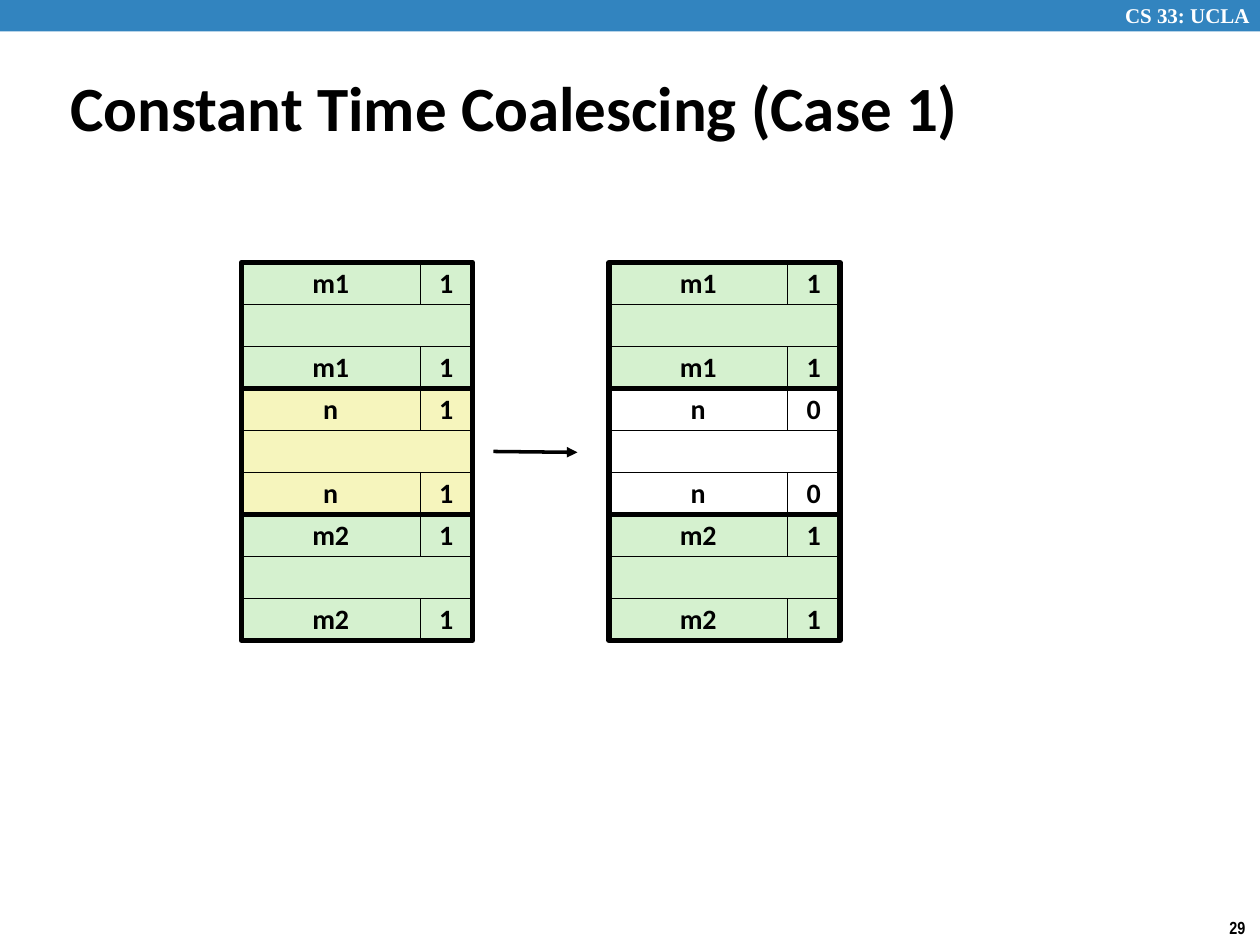
import dataclasses

import lxml.etree
import pptx
import pptx.dml.color
import pptx.enum.shapes
import pptx.enum.text
import pptx.oxml.ns
import pptx.shapes.autoshape
import pptx.slide
import pptx.text.text
import pptx.util

Pt = pptx.util.Pt
ALIGN = pptx.enum.text.PP_ALIGN
RECTANGLE = pptx.enum.shapes.MSO_SHAPE.RECTANGLE

BLACK, WHITE, BLUE = "000000", "FFFFFF", "3284BF"
GREEN, YELLOW = "D5F1CF", "F6F5BD"

# Heap column grid, in points
HEAP_TOP, ROW_HEIGHT = 150, 24
SIZE_WIDTH, FLAG_WIDTH = 102, 30
HEAP_WIDTH = SIZE_WIDTH + FLAG_WIDTH
BLOCK_HEIGHT = 3 * ROW_HEIGHT


@dataclasses.dataclass
class Block:
    size: str
    allocated: str
    fill: str


@dataclasses.dataclass
class Heap:
    left: float
    blocks: list[Block]


FIRST = Block("m1", "1", GREEN)
LAST = Block("m2", "1", GREEN)
HEAPS = [
    Heap(138, [FIRST, Block("n", "1", YELLOW), LAST]),
    Heap(348, [FIRST, Block("n", "0", WHITE), LAST]),
]


def color(value: str) -> pptx.dml.color.RGBColor:
    return pptx.dml.color.RGBColor.from_string(value)


def format_paragraph(paragraph: pptx.text.text._Paragraph, name: str, size: float,
                     fill: str = BLACK, align: ALIGN = ALIGN.LEFT) -> None:
    paragraph.alignment = align
    font = paragraph.font
    font.name, font.size, font.bold = name, Pt(size), True
    font.color.rgb = color(fill)


def add_rectangle(slide: pptx.slide.Slide, left: float, top: float, width: float,
                  height: float, fill: str | None = None,
                  line_width: float = 0) -> pptx.shapes.autoshape.Shape:
    shape = slide.shapes.add_shape(RECTANGLE, Pt(left), Pt(top), Pt(width), Pt(height))
    shape.shadow.inherit = False
    if fill:
        shape.fill.solid()
        shape.fill.fore_color.rgb = color(fill)
    else:
        shape.fill.background()
    if line_width:
        shape.line.color.rgb = color(BLACK)
        shape.line.width = Pt(line_width)
    else:
        shape.line.fill.background()
    return shape


def add_cell(slide: pptx.slide.Slide, left: float, top: float, width: float,
             fill: str, text: str = "") -> None:
    shape = add_rectangle(slide, left, top, width, ROW_HEIGHT, fill, 0.25)
    if text:
        frame = shape.text_frame
        frame.word_wrap = False
        frame.vertical_anchor = pptx.enum.text.MSO_ANCHOR.MIDDLE
        paragraph = frame.paragraphs[0]
        paragraph.text = text
        paragraph.line_spacing = 0.98
        format_paragraph(paragraph, "Calibri", 16, align=ALIGN.CENTER)


def add_block(slide: pptx.slide.Slide, left: float, top: float, block: Block) -> None:
    """Draw header, payload and footer rows inside a thick outline."""
    footer_top = top + 2 * ROW_HEIGHT
    for row_top in (top, footer_top):
        add_cell(slide, left, row_top, SIZE_WIDTH, block.fill, block.size)
        add_cell(slide, left + SIZE_WIDTH, row_top, FLAG_WIDTH, block.fill, block.allocated)
    add_cell(slide, left, top + ROW_HEIGHT, HEAP_WIDTH, block.fill)
    add_rectangle(slide, left, top, HEAP_WIDTH, BLOCK_HEIGHT, line_width=3)


def add_label(slide: pptx.slide.Slide, left: float, top: float, width: float,
              height: float, text: str, font_name: str, size: float, fill: str,
              wrap: bool) -> None:
    box = slide.shapes.add_textbox(Pt(left), Pt(top), Pt(width), Pt(height))
    box.text_frame.word_wrap = wrap
    paragraph = box.text_frame.paragraphs[0]
    paragraph.text = text
    format_paragraph(paragraph, font_name, size, fill)


def add_arrow(slide: pptx.slide.Slide, start: tuple[float, float],
              end: tuple[float, float]) -> None:
    connector = slide.shapes.add_connector(
        pptx.enum.shapes.MSO_CONNECTOR.STRAIGHT, *map(Pt, start + end))
    connector.line.color.rgb = color(BLACK)
    connector.line.width = Pt(2)
    qn = pptx.oxml.ns.qn
    line = connector.line._get_or_add_ln()
    lxml.etree.SubElement(line, qn("a:tailEnd"), type="triangle")
    lxml.etree.SubElement(connector._element.spPr, qn("a:effectLst"))


def add_title(slide: pptx.slide.Slide, text: str) -> None:
    title = slide.shapes.title
    title.left, title.top, title.width, title.height = Pt(33), Pt(38), Pt(654), Pt(45.5)
    frame = title.text_frame
    frame.text = text
    frame.word_wrap = True
    frame.auto_size = pptx.enum.text.MSO_AUTO_SIZE.NONE
    frame.vertical_anchor = pptx.enum.text.MSO_ANCHOR.MIDDLE
    format_paragraph(frame.paragraphs[0], "Calibri", 36)


def main() -> None:
    presentation = pptx.Presentation()
    presentation.slide_width, presentation.slide_height = Pt(720), Pt(540)
    slide = presentation.slides.add_slide(presentation.slide_layouts[5])

    # Header band, page number and title
    add_rectangle(slide, 0, 0, 720, 18, BLUE)
    add_label(slide, 635.8, -2, 89, 21.6, "CS 33: UCLA", "Times New Roman", 12, WHITE, True)
    add_label(slide, 695.5, 520.6, 24.5, 19.4, "29", "Arial Narrow", 10, BLACK, False)
    add_title(slide, "Constant Time Coalescing (Case 1)")

    # Heap before and after the free
    for heap in HEAPS:
        for index, block in enumerate(heap.blocks):
            add_block(slide, heap.left, HEAP_TOP + index * BLOCK_HEIGHT, block)
    add_arrow(slide, (282, 258), (330, 258.5))

    presentation.save("out.pptx")


if __name__ == "__main__":
    main()
